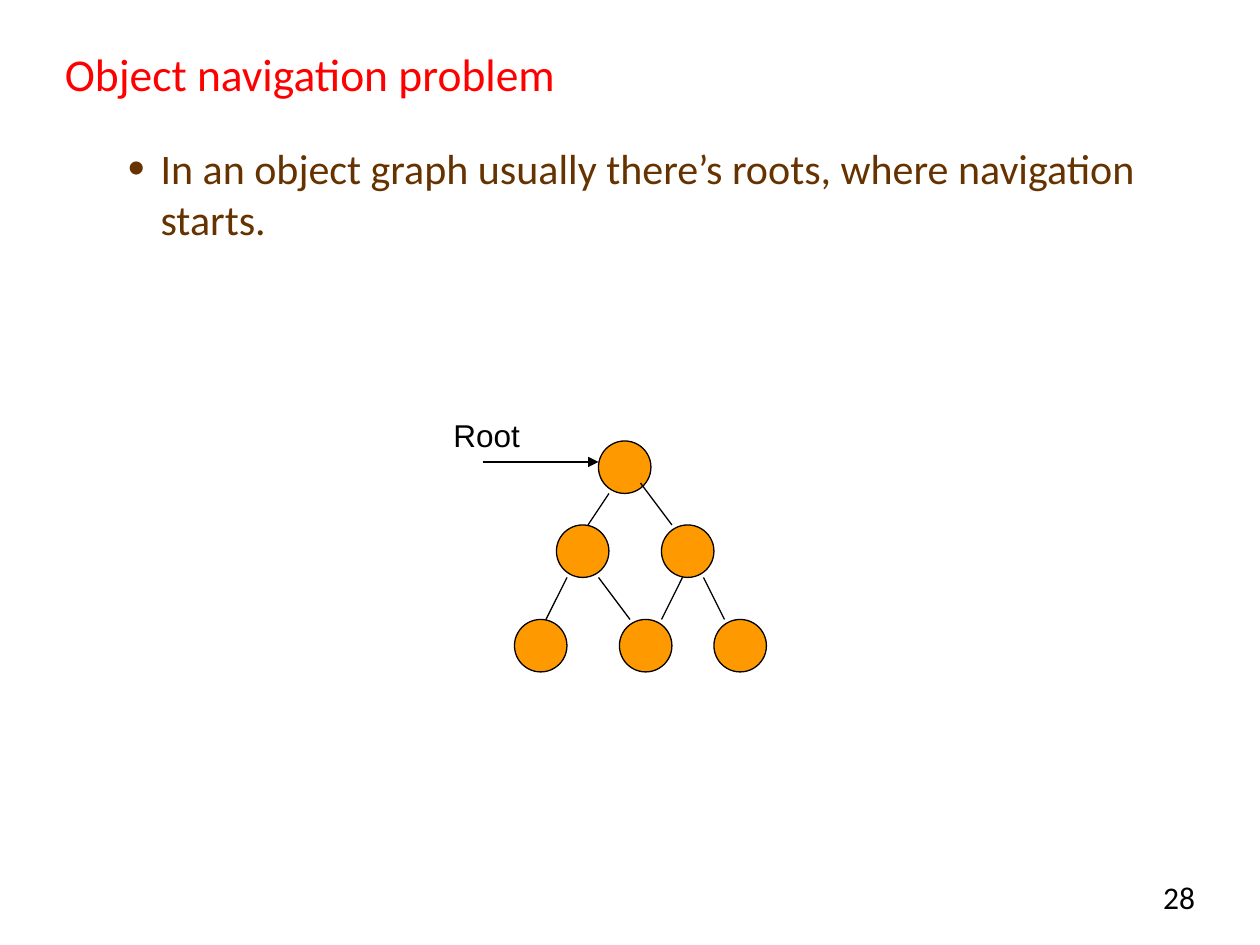
import pptx
import pptx.util
import pptx.dml.color
import pptx.enum.shapes
import pptx.enum.text
import pptx.oxml.ns
from lxml import etree

ALIGN = pptx.enum.text.PP_ALIGN
ANCHOR = pptx.enum.text.MSO_ANCHOR

# All positions are columns and rows of a grid of twelve cells to the inch.
CELLS_PER_INCH = 12
SLIDE_SIZE = (120, 90)

THEME = {
    "title": {"font": "Calibri", "size": 26, "color": "FF0000"},
    "body": {"font": "Calibri", "size": 24, "color": "663300"},
    "number": {"font": "Calibri", "size": 18, "color": "000000"},
    "label": {"font": "Arial", "size": 18, "color": "000000"},
    "node": "FF9900",
    "line": "000000",
    "line_width": 0.75,
}

# style, text, (column, row, columns, rows)
TEXTS = [
    ("number", "28", (106, 83, 9, 5)),
    ("title", "Object navigation problem", (5, 4, 109, 6)),
    ("body", "In an object graph usually there\u2019s roots, where navigation starts.",
     (11, 13, 103, 69)),
    ("label", "Root", (42, 39, 8.8, 4.8)),
]

NODE_SIZE = 5
# row -> columns of the nodes on that level
LEVELS = {42: [57], 50: [53, 63], 59: [49, 59, 68]}

EDGES = [
    ((58, 47), (56, 50)),
    ((61, 46), (64, 50)),
    ((54, 55), (52, 59)),
    ((57, 55), (60, 59)),
    ((65, 55), (63, 59)),
    ((67, 55), (69, 59)),
]
ROOT_ARROW = ((46, 44), (57, 44))


def cells(*counts):
    """Turn grid cells into lengths."""
    return [pptx.util.Inches(count / CELLS_PER_INCH) for count in counts]


def color(name):
    """Turn a hex string into a colour."""
    return pptx.dml.color.RGBColor.from_string(name)


def add_element(parent, tag, **attributes):
    """Append a drawing element to an XML parent."""
    return etree.SubElement(parent, pptx.oxml.ns.qn(tag), attributes)


def style_line(line):
    """Give an outline or connector the theme's thin line."""
    line.color.rgb = color(THEME["line"])
    line.width = pptx.util.Pt(THEME["line_width"])


def add_text(page, style, text, place):
    """Add a text box with one styled run and return it."""
    look = THEME[style]
    box = page.shapes.add_textbox(*cells(*place))
    box.text_frame.word_wrap = True
    span = box.text_frame.paragraphs[0].add_run()
    span.text = text
    span.font.name = look["font"]
    span.font.size = pptx.util.Pt(look["size"])
    span.font.color.rgb = color(look["color"])
    return box


def add_bullet(para):
    """Give a paragraph a hanging round bullet."""
    props = para._p.get_or_add_pPr()
    indent = pptx.util.Inches(0.26)
    props.set("marL", str(indent))
    props.set("indent", str(-indent))
    add_element(props, "a:buSzPct", val="115000")
    add_element(props, "a:buFont", typeface="Arial")
    add_element(props, "a:buChar", char="\u2022")


def add_node(page, column, row):
    """Add one circle of the object graph."""
    node = page.shapes.add_shape(
        pptx.enum.shapes.MSO_SHAPE.OVAL, *cells(column, row, NODE_SIZE, NODE_SIZE))
    node.shadow.inherit = False
    node.fill.solid()
    node.fill.fore_color.rgb = color(THEME["node"])
    style_line(node.line)


def add_edge(page, start, end, arrow=False):
    """Add a straight line, with an arrowhead at its end if asked."""
    edge = page.shapes.add_connector(
        pptx.enum.shapes.MSO_CONNECTOR.STRAIGHT, *cells(*start, *end))
    style_line(edge.line)
    if arrow:
        add_element(edge.line._get_or_add_ln(), "a:tailEnd", type="triangle")
    add_element(edge._element.spPr, "a:effectLst")


def build():
    """Build the slide and save it."""
    deck = pptx.Presentation()
    deck.slide_width, deck.slide_height = cells(*SLIDE_SIZE)
    page = deck.slides.add_slide(deck.slide_layouts[6])

    boxes = {style: add_text(page, style, text, place) for style, text, place in TEXTS}
    boxes["number"].text_frame.paragraphs[0].alignment = ALIGN.RIGHT
    boxes["title"].text_frame.vertical_anchor = ANCHOR.MIDDLE
    add_bullet(boxes["body"].text_frame.paragraphs[0])
    boxes["label"].text_frame.word_wrap = False
    boxes["label"].text_frame.auto_size = pptx.enum.text.MSO_AUTO_SIZE.SHAPE_TO_FIT_TEXT

    for row, columns in LEVELS.items():
        for column in columns:
            add_node(page, column, row)
    for start, end in EDGES:
        add_edge(page, start, end)
    add_edge(page, *ROOT_ARROW, arrow=True)

    deck.save("out.pptx")


build()
